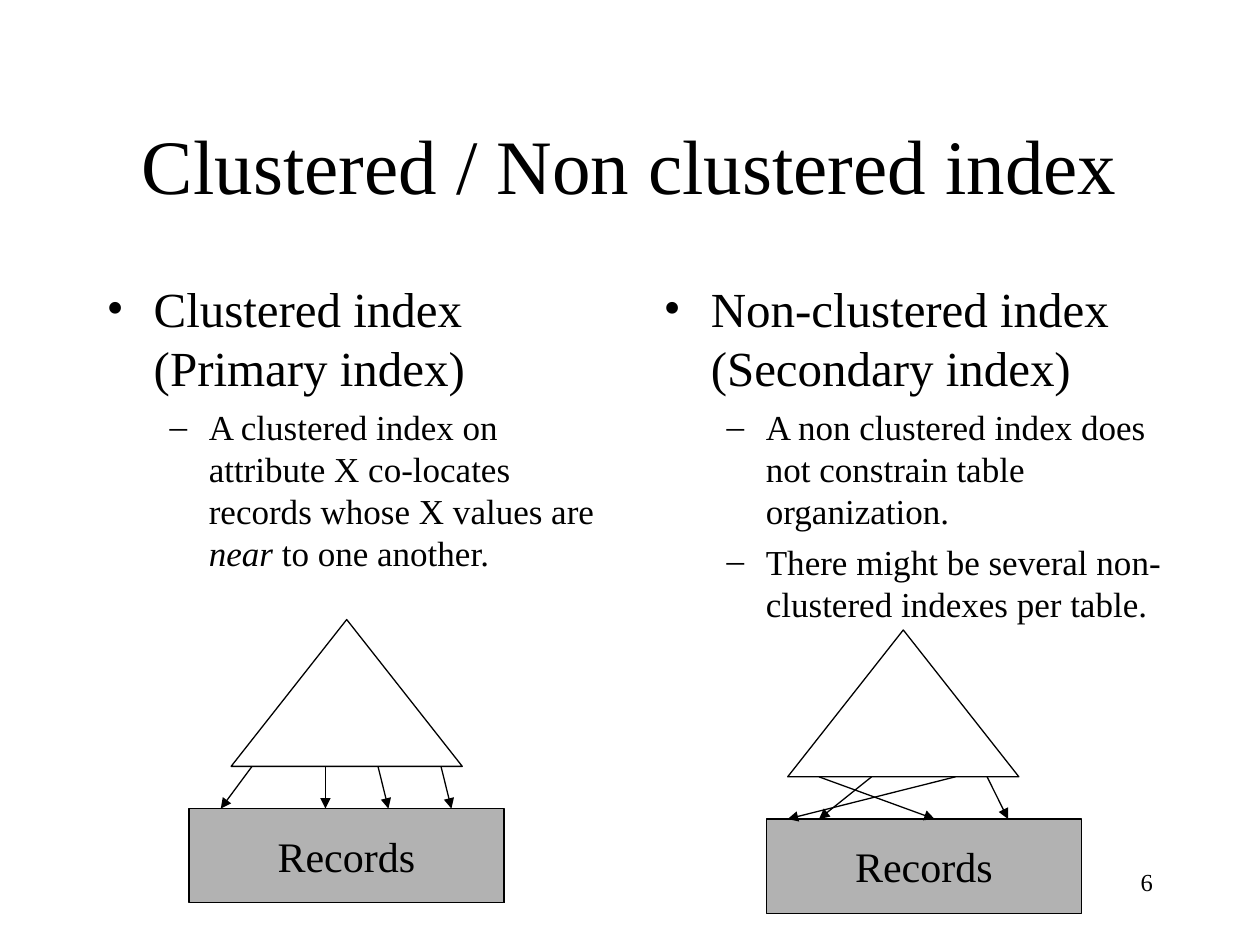
from dataclasses import dataclass

import pptx
import pptx.dml.color
import pptx.enum.shapes
import pptx.enum.text
import pptx.oxml
import pptx.oxml.ns
import pptx.util
from pptx.util import Cm, Pt

FONT = "Times New Roman"
ALIGN = pptx.enum.text.PP_ALIGN
ANCHOR = pptx.enum.text.MSO_ANCHOR
SHAPE = pptx.enum.shapes.MSO_SHAPE
BLACK, WHITE, GREY = "000000", "FFFFFF", "B2B2B2"

# Sizes in centimetres shared by both diagrams
TRI_W, TRI_H = 4.66, 2.96
REC_W, REC_H = 6.35, 1.9
GAP = 0.85


@dataclass
class Level:
    bullet: str
    size: int
    left: float
    hanging: float
    before: int


LEVELS = [Level("•", 28, 0.95, 0.95, 7), Level("–", 20, 2.06, 0.79, 5)]


@dataclass
class Item:
    level: int
    runs: list[tuple[str, bool]]  # text, italic


@dataclass
class Column:
    left: float
    items: list[Item]


@dataclass
class Diagram:
    tri_left: float
    tri_top: float
    rec_left: float
    arrows: list[tuple[float, float]]  # x at the index, x at the records


COLUMNS = [
    Column(1.9, [
        Item(0, [("Clustered index (Primary index)", False)]),
        Item(1, [("A clustered index on attribute X co-locates records "
                  "whose X values are ", False),
                 ("near", True), (" to one another.", False)]),
    ]),
    Column(13.13, [
        Item(0, [("Non-clustered index (Secondary index)", False)]),
        Item(1, [("A non clustered index does not constrain table "
                  "organization.", False)]),
        Item(1, [("There might be several non-clustered indexes per table.",
                  False)]),
    ]),
]

DIAGRAMS = [
    Diagram(4.66, 12.49, 3.81,
            [(5.08, 4.45), (6.56, 6.56), (7.62, 7.83), (8.89, 9.1)]),
    Diagram(15.88, 12.7, 15.45,
            [(16.51, 18.84), (17.57, 16.51), (19.26, 15.88), (19.9, 20.32)]),
]


def rgb(value: str) -> pptx.dml.color.RGBColor:
    return pptx.dml.color.RGBColor.from_string(value)


def set_attrs(obj, values: dict) -> None:
    for name, value in values.items():
        setattr(obj, name, value)


def add_run(p, text: str, size: int, italic: bool = False) -> None:
    r = p.add_run()
    r.text = text
    set_attrs(r.font, {"name": FONT, "size": Pt(size), "italic": italic})
    r.font.color.rgb = rgb(BLACK)


def add_child(parent, tag: str, **attrs: str):
    child = pptx.oxml.parse_xml(f"<a:{tag} {pptx.oxml.ns.nsdecls('a')}/>")
    for name, value in attrs.items():
        child.set(name, value)
    parent.append(child)
    return child


def add_column(s, column: Column) -> None:
    sp = s.shapes.add_textbox(Cm(column.left), Cm(5.5), Cm(10.58), Cm(11.43))
    tf = sp.text_frame
    tf.word_wrap = True
    for i, item in enumerate(column.items):
        p = tf.paragraphs[0] if i == 0 else tf.add_paragraph()
        level = LEVELS[item.level]
        set_attrs(p, {"level": item.level,
                      "space_before": Pt(level.before if i else 0)})
        ppr = p._p.get_or_add_pPr()
        ppr.set("marL", str(Cm(level.left)))
        ppr.set("indent", str(-Cm(level.hanging)))
        add_child(add_child(ppr, "buClr"), "srgbClr", val=BLACK)
        add_child(ppr, "buFont", typeface=FONT)
        add_child(ppr, "buChar", char=level.bullet)
        for text, italic in item.runs:
            add_run(p, text, level.size, italic)


def add_outlined(s, kind, box: tuple, fill: str):
    sp = s.shapes.add_shape(kind, *map(Cm, box))
    sp.shadow.inherit = False
    sp.fill.solid()
    sp.fill.fore_color.rgb = rgb(fill)
    sp.line.color.rgb = rgb(BLACK)
    sp.line.width = Pt(0.75)
    return sp


def add_line(s, x1: float, y1: float, x2: float, y2: float,
             arrow: bool = False) -> None:
    line = s.shapes.add_connector(pptx.enum.shapes.MSO_CONNECTOR.STRAIGHT,
                                  *map(Cm, (x1, y1, x2, y2)))
    line.line.color.rgb = rgb(BLACK)
    line.line.width = Pt(0.75)
    if arrow:
        add_child(line.line._get_or_add_ln(), "tailEnd", type="triangle")
    add_child(line._element.spPr, "effectLst")


def add_diagram(s, d: Diagram) -> None:
    tri_bottom = d.tri_top + TRI_H
    rec_top = tri_bottom + GAP
    add_outlined(s, SHAPE.ISOSCELES_TRIANGLE,
                 (d.tri_left, d.tri_top, TRI_W, TRI_H), WHITE)
    sp = add_outlined(s, SHAPE.RECTANGLE,
                      (d.rec_left, rec_top, REC_W, REC_H), GREY)
    tf = sp.text_frame
    set_attrs(tf, {"word_wrap": False, "vertical_anchor": ANCHOR.MIDDLE})
    p = tf.paragraphs[0]
    p.alignment = ALIGN.CENTER
    add_run(p, "Records", 24)
    for start, end in d.arrows:
        add_line(s, start, tri_bottom, end, rec_top, arrow=True)


def main() -> None:
    prs = pptx.Presentation()
    set_attrs(prs, {"slide_width": Cm(25.4), "slide_height": Cm(19.05)})
    s = prs.slides.add_slide(prs.slide_layouts[5])

    # Title
    title = s.shapes.title
    set_attrs(title, {"left": Cm(1.9), "top": Cm(1.7),
                      "width": Cm(21.6), "height": Cm(3.18)})
    title.text_frame.vertical_anchor = ANCHOR.MIDDLE
    p = title.text_frame.paragraphs[0]
    p.alignment = ALIGN.CENTER
    add_run(p, "Clustered / Non clustered index", 44)

    # Text columns
    for column in COLUMNS:
        add_column(s, column)

    # Index and records diagrams, with a line along the first records box
    add_line(s, 10.16, 16.3, 10.16, 18.2)
    for diagram in DIAGRAMS:
        add_diagram(s, diagram)

    # Slide number
    sp = s.shapes.add_textbox(Cm(18.2), Cm(17.35), Cm(5.29), Cm(1.27))
    sp.text_frame.word_wrap = True
    p = sp.text_frame.paragraphs[0]
    p.alignment = ALIGN.RIGHT
    add_run(p, "6", 14)

    prs.save("out.pptx")


if __name__ == "__main__":
    main()
